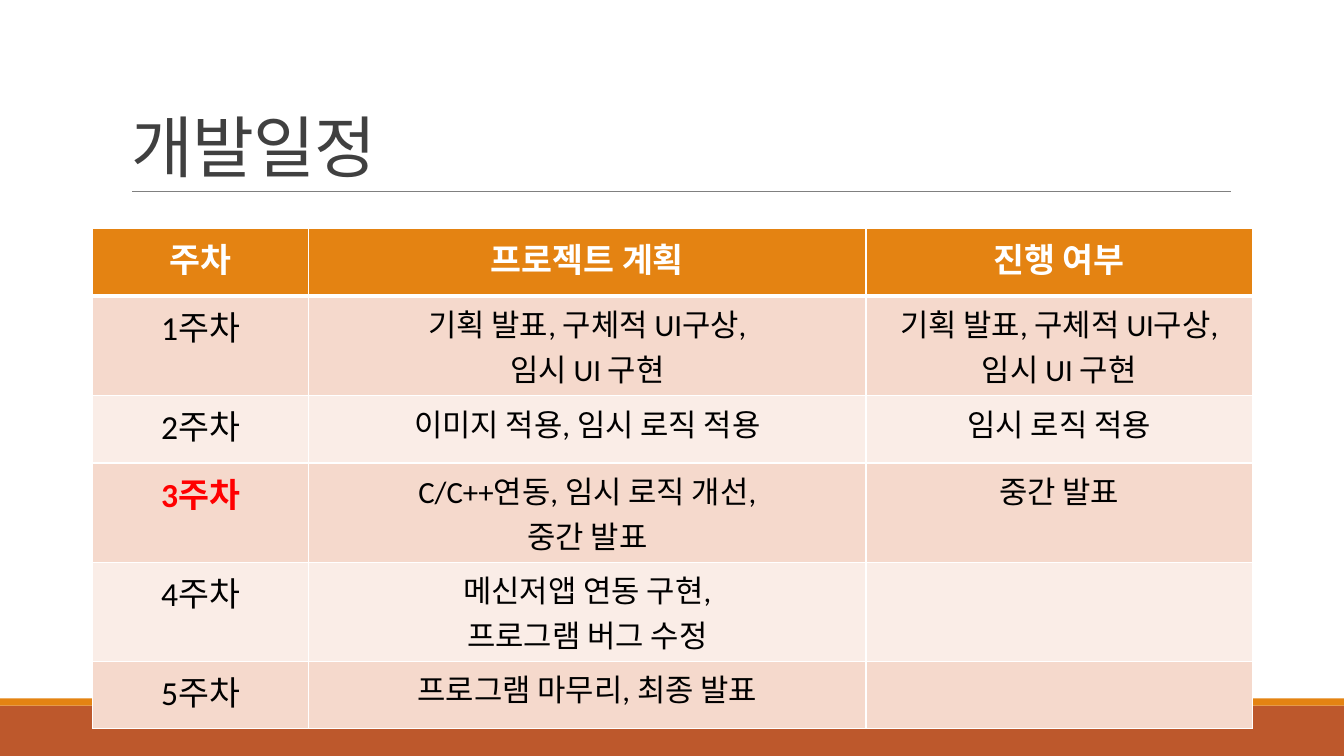
"""Builds the weekly development schedule slide."""
import pptx
import pptx.dml.color
import pptx.enum.shapes
import pptx.enum.text
import pptx.oxml
import pptx.oxml.ns
import pptx.util

Inches, Pt = pptx.util.Inches, pptx.util.Pt
RGBColor = pptx.dml.color.RGBColor
PP_ALIGN, MSO_ANCHOR = pptx.enum.text.PP_ALIGN, pptx.enum.text.MSO_ANCHOR

ORANGE = RGBColor(0xE4, 0x83, 0x12)
RUST = RGBColor(0xBD, 0x58, 0x2C)
PEACH = RGBColor(0xF5, 0xD9, 0xCC)
PALE_PEACH = RGBColor(0xFA, 0xED, 0xE7)
CHARCOAL = RGBColor(0x40, 0x40, 0x40)
GRAY = RGBColor(0x80, 0x80, 0x80)
WHITE = RGBColor(0xFF, 0xFF, 0xFF)
BLACK = RGBColor(0, 0, 0)
RED = RGBColor(0xFF, 0, 0)


def write(frame, text, size, color, bold=False, align=PP_ALIGN.CENTER, line_spacing=None, tracking=None):
    for index, line in enumerate(text.split("\n")):
        paragraph = frame.add_paragraph() if index else frame.paragraphs[0]
        paragraph.alignment = align
        paragraph.line_spacing = line_spacing
        run = paragraph.add_run()
        run.text = line
        run.font.name = "Calibri"
        run.font.size = Pt(size)
        run.font.bold = bold
        run.font.color.rgb = color
        if tracking is not None:
            run._r.get_or_add_rPr().set("spc", str(round(tracking * 100)))


def add_border(cell, side, width):
    cell._tc.get_or_add_tcPr().append(pptx.oxml.parse_xml(
        f'<a:ln{side} {pptx.oxml.ns.nsdecls("a")} w="{Pt(width)}">'
        f'<a:solidFill><a:srgbClr val="{WHITE}"/></a:solidFill></a:ln{side}>'))


deck = pptx.Presentation()
deck.slide_width, deck.slide_height = Inches(13.33), Inches(7.5)
slide = deck.slides.add_slide(deck.slide_layouts[5])

for top, height, color in [(7, 0.5, RUST), (6.93, 0.07, ORANGE)]:
    footer_band = slide.shapes.add_shape(
        pptx.enum.shapes.MSO_SHAPE.RECTANGLE, 0, Inches(top), deck.slide_width, Inches(height))
    footer_band.shadow.inherit = False
    footer_band.fill.solid()
    footer_band.fill.fore_color.rgb = color
    footer_band.line.fill.background()

title_rule = slide.shapes.add_connector(
    pptx.enum.shapes.MSO_CONNECTOR.STRAIGHT, Inches(1.31), Inches(1.9), Inches(12.21), Inches(1.9))
title_rule.line.color.rgb = GRAY
title_rule.line.width = Pt(0.5)
title_rule._element.spPr.append(pptx.oxml.parse_xml(f'<a:effectLst {pptx.oxml.ns.nsdecls("a")}/>'))

heading = slide.shapes.title
heading.left, heading.top, heading.width, heading.height = map(Inches, (1.2, 0.31, 11, 1.59))
heading.text_frame.auto_size = pptx.enum.text.MSO_AUTO_SIZE.NONE
heading.text_frame.vertical_anchor = MSO_ANCHOR.BOTTOM
write(heading.text_frame, "개발일정", 48, CHARCOAL, align=PP_ALIGN.LEFT, line_spacing=0.85, tracking=-0.5)

weeks = [
    ("주차", "프로젝트 계획", "진행 여부"),
    ("1주차", "기획 발표, 구체적 UI구상,\n임시 UI 구현", "기획 발표, 구체적 UI구상,\n임시 UI 구현"),
    ("2주차", "이미지 적용, 임시 로직 적용", "임시 로직 적용"),
    ("3주차", "C/C++연동, 임시 로직 개선,\n중간 발표", "중간 발표"),
    ("4주차", "메신저앱 연동 구현,\n프로그램 버그 수정", ""),
    ("5주차", "프로그램 마무리, 최종 발표", ""),
]
column_widths = [2.14, 5.53, 3.83]
row_heights = [0.67, 0.78, 0.67, 0.8, 0.8, 0.67]
current_week = 3

schedule = slide.shapes.add_table(
    len(weeks), len(column_widths), Inches(0.92), Inches(2.27),
    Inches(sum(column_widths)), Inches(sum(row_heights))).table
for column, width in zip(schedule.columns, column_widths):
    column.width = Inches(width)
for row, height in zip(schedule.rows, row_heights):
    row.height = Inches(height)

for week, entries in enumerate(weeks):
    for position, entry in enumerate(entries):
        cell = schedule.cell(week, position)
        is_header = week == 0
        is_current = week == current_week and position == 0
        for side in "LRTB":
            under_header = (week, side) in [(0, "B"), (1, "T")]
            add_border(cell, side, 3 if under_header else 1)
        cell.fill.solid()
        cell.fill.fore_color.rgb = ORANGE if is_header else PEACH if week % 2 else PALE_PEACH
        if entry:
            write(cell.text_frame, entry, 24 if is_header or position == 0 else 22,
                  WHITE if is_header else RED if is_current else BLACK, bold=is_header or is_current)

deck.save("out.pptx")
